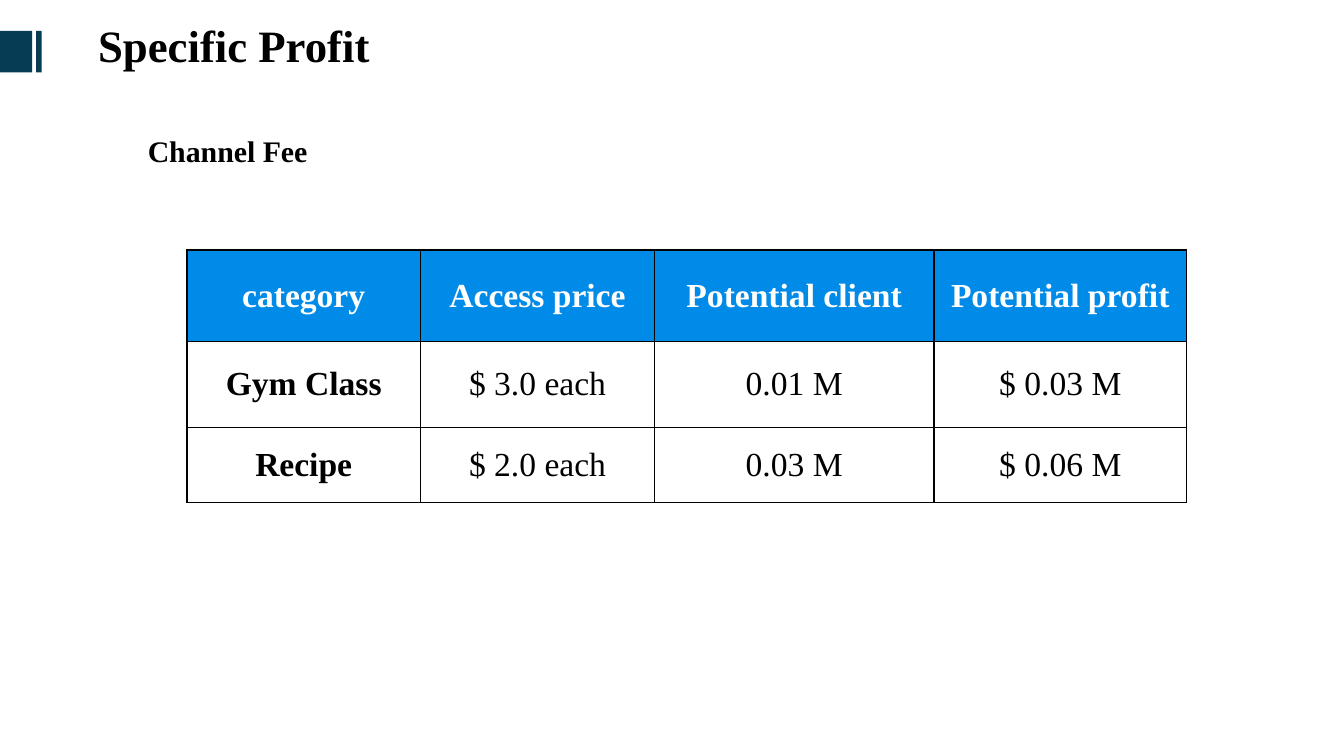
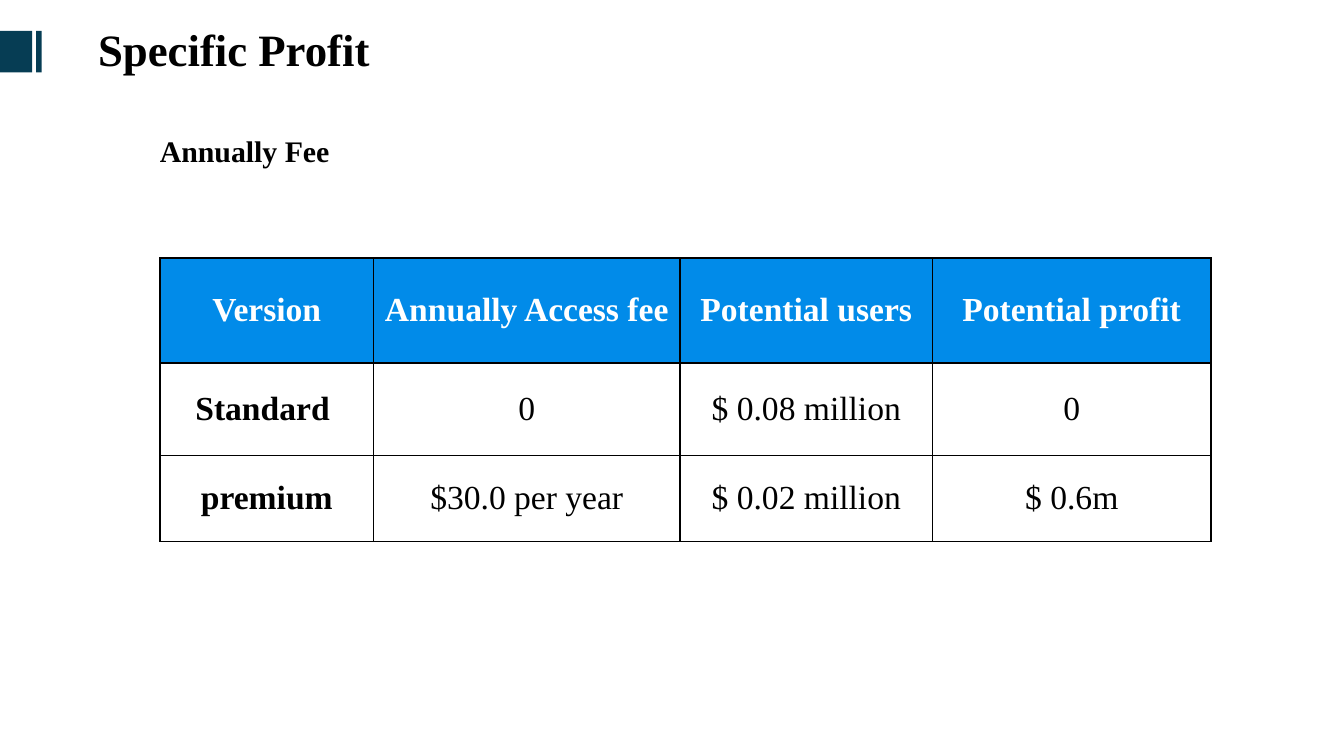
from lxml import etree
from pptx import Presentation
from pptx.dml.color import RGBColor
from pptx.enum.shapes import MSO_SHAPE
from pptx.enum.text import MSO_ANCHOR, MSO_AUTO_SIZE, PP_ALIGN
from pptx.oxml.ns import qn
from pptx.util import Inches, Pt

RECTANGLE = MSO_SHAPE.RECTANGLE
MIDDLE = MSO_ANCHOR.MIDDLE
GROW = MSO_AUTO_SIZE.SHAPE_TO_FIT_TEXT
CENTER = PP_ALIGN.CENTER

SLIDE_WIDTH = 10
SLIDE_HEIGHT = SLIDE_WIDTH * 9 / 16
FONT = "Times New Roman"
BLACK, WHITE, NAVY, BLUE = "000000", "FFFFFF", "063D54", "018BE9"

TITLE = "Specific Profit"
TITLE_LEFT = 0.73
SUBTITLE_TOP = 0.99
MARKER_BARS = [(0, 0.24), (0.27, 0.04)]  # left, width
MARKER_TOP, MARKER_HEIGHT = 0.23, 0.31
CELL_MARGINS = {"margin_left": Inches(0.07), "margin_right": Inches(0.07),
                "margin_top": 0, "margin_bottom": 0}
BOX_MARGINS = dict.fromkeys(CELL_MARGINS, 0)

FEES = [
    {
        "title_top": 0.13,
        "subtitle": "Channel Fee",
        "subtitle_left": 1.1,
        "table_at": (1.39, 1.86),
        "columns": [1.74, 1.74, 2.08, 1.88],
        "heights": [0.68, 0.64, 0.56],
        "body_fill": None,
        "hanging": 0.35,
        "spacing": 6,
        "rows": [
            ["category", "Access price", "Potential client", "Potential profit"],
            ["Gym Class", "$ 3.0 each", "0.01 M", "$ 0.03 M"],
            ["Recipe", "$ 2.0 each", "0.03 M", "$ 0.06 M"],
        ],
    },
    {
        "title_top": 0.16,
        "subtitle": "Annually Fee",
        "subtitle_left": 1.19,
        "table_at": (1.19, 1.92),
        "columns": [1.59, 2.28, 1.88, 2.07],
        "heights": [0.78, 0.69, 0.64],
        "body_fill": WHITE,
        "hanging": 0,
        "spacing": 0,
        "rows": [
            ["Version", "Annually Access fee", "Potential users", "Potential profit"],
            ["Standard ", "0", "$ 0.08 million", "0"],
            ["premium", "$30.0 per year", "$ 0.02 million", "$ 0.6m"],
        ],
    },
]


def rgb(color):
    return RGBColor.from_string(color)


def set_all(target, values):
    for name, value in values.items():
        setattr(target, name, value)


def write(paragraph, text, size, color=BLACK, bold=True):
    run = paragraph.add_run()
    run.text = text
    set_all(run.font, {"name": FONT, "size": Pt(size), "bold": bold})
    run.font.color.rgb = rgb(color)


def add_heading(slide, text, left, top, width, height, size):
    box = slide.shapes.add_textbox(*map(Inches, (left, top, width, height)))
    set_all(box.text_frame, {"word_wrap": True, "auto_size": GROW, **BOX_MARGINS})
    write(box.text_frame.paragraphs[0], text, size)


def add_marker(slide):
    """Draw the pair of bars at the left edge beside the title."""
    marker = slide.shapes.add_group_shape()
    for left, width in MARKER_BARS:
        bar = marker.shapes.add_shape(
            RECTANGLE, *map(Inches, (left, MARKER_TOP, width, MARKER_HEIGHT)))
        bar.shadow.inherit = False
        bar.fill.solid()
        bar.fill.fore_color.rgb = rgb(NAVY)
        bar.line.fill.background()


def add_borders(cell):
    """Outline a cell; the lines must precede the fill in its properties."""
    properties = cell._tc.get_or_add_tcPr()
    for place, side in enumerate(("lnL", "lnR", "lnT", "lnB")):
        line = etree.Element(qn(f"a:{side}"), w=str(Pt(1)))
        fill = etree.SubElement(line, qn("a:solidFill"))
        etree.SubElement(fill, qn("a:srgbClr"), val=BLACK)
        properties.insert(place, line)


def fill_cell(cell, text, fee, is_header, is_label):
    set_all(cell, {"vertical_anchor": MIDDLE, **CELL_MARGINS})
    fill = BLUE if is_header else fee["body_fill"]
    if fill:
        cell.fill.solid()
        cell.fill.fore_color.rgb = rgb(fill)
    else:
        cell.fill.background()
    add_borders(cell)

    paragraph = cell.text_frame.paragraphs[0]
    set_all(paragraph, {"alignment": CENTER, "space_before": Pt(fee["spacing"]),
                        "space_after": Pt(fee["spacing"])})
    if fee["hanging"]:
        indent = Inches(fee["hanging"])
        properties = paragraph._p.get_or_add_pPr()
        properties.set("marL", str(indent))
        properties.set("indent", str(-indent))
    write(paragraph, text, 18, WHITE if is_header else BLACK, is_header or is_label)


def add_fee_table(slide, fee):
    columns, heights = fee["columns"], fee["heights"]
    frame = slide.shapes.add_table(
        len(heights), len(columns),
        *map(Inches, (*fee["table_at"], sum(columns), sum(heights))))
    table = frame.table
    set_all(table, {"first_row": False, "horz_banding": False})
    for column, width in zip(table.columns, columns):
        column.width = Inches(width)
    for row, height in zip(table.rows, heights):
        row.height = Inches(height)
    for r, texts in enumerate(fee["rows"]):
        for c, text in enumerate(texts):
            fill_cell(table.cell(r, c), text, fee, r == 0, c == 0)


def main():
    deck = Presentation()
    deck.slide_width = Inches(SLIDE_WIDTH)
    deck.slide_height = Inches(SLIDE_HEIGHT)
    blank = deck.slide_layouts[6]
    for fee in FEES:
        slide = deck.slides.add_slide(blank)
        add_heading(slide, TITLE, TITLE_LEFT, fee["title_top"], 3.32, 0.4, 24)
        add_heading(slide, fee["subtitle"], fee["subtitle_left"], SUBTITLE_TOP,
                    2.86, 0.27, 16)
        add_fee_table(slide, fee)
        add_marker(slide)
    deck.save("out.pptx")


if __name__ == "__main__":
    main()
